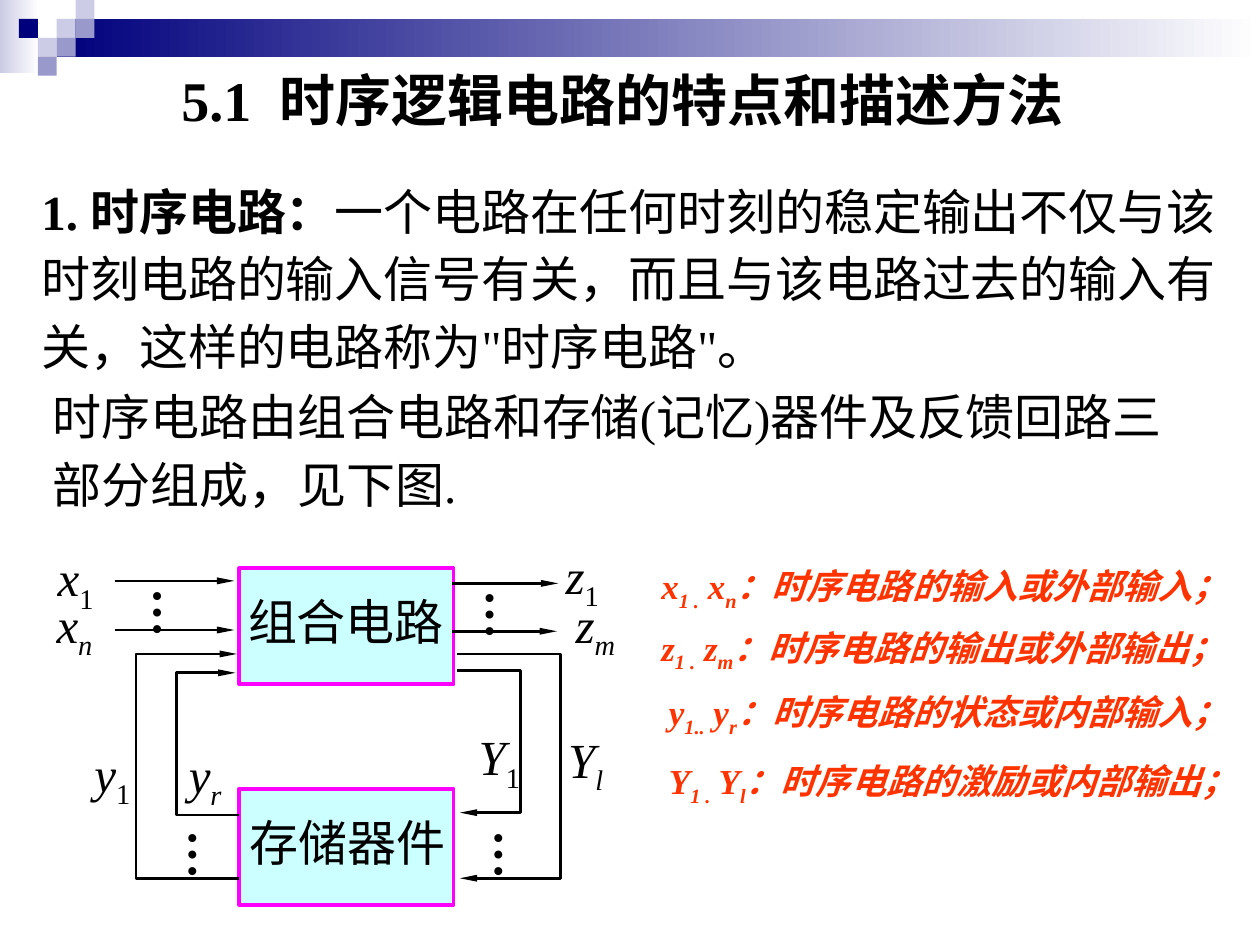
from dataclasses import dataclass

from lxml.etree import SubElement
from pptx import Presentation
from pptx.dml.color import RGBColor
from pptx.enum.shapes import MSO_CONNECTOR as Connector, MSO_SHAPE as Shape
from pptx.enum.text import MSO_AUTO_SIZE as AutoSize
from pptx.oxml.ns import qn
from pptx.util import Inches, Pt


@dataclass(frozen=True)
class Theme:
    font: str = "Times New Roman"
    title_size: int = 32
    body_size: int = 28
    legend_size: int = 20
    text: str = "000000"
    legend: str = "FF3300"
    white: str = "FFFFFF"
    navy: str = "00007D"
    violet: str = "9999CC"
    lavender: str = "CCCCE6"
    block_fill: str = "CCFFFF"
    block_line: str = "FF00FF"
    block_width: float = 2.25
    wire_width: float = 1.5


THEME = Theme()
SQUARE = 0.15
BLOCK_LEFT, BLOCK_WIDTH, BLOCK_HEIGHT = 1.9, 1.7, 0.92


def rgb(color):
    return RGBColor.from_string(color)


def add_rectangle(slide, left, top, width, height, colors, outline=None):
    """Two colors give a gradient from left to right, one gives a solid fill."""
    shape = slide.shapes.add_shape(
        Shape.RECTANGLE, Inches(left), Inches(top), Inches(width), Inches(height))
    shape.shadow.inherit = False
    if len(colors) == 2:
        shape.fill.gradient()
        shape.fill.gradient_angle = 0
        for stop, color in zip(shape.fill.gradient_stops, colors):
            stop.color.rgb = rgb(color)
    else:
        shape.fill.solid()
        shape.fill.fore_color.rgb = rgb(colors[0])
    if outline:
        shape.line.color.rgb = rgb(outline)
        shape.line.width = Pt(THEME.block_width)
    else:
        shape.line.fill.background()


def add_text(slide, left, top, width, height, runs, size=THEME.body_size,
             color=THEME.text, bold=None, italic=None, wrap=False,
             line_spacing=None, space_before=None):
    """Runs are (text, marks) pairs; marks: b bold, i italic, s subscript."""
    box = slide.shapes.add_textbox(
        Inches(left), Inches(top), Inches(width), Inches(height))
    frame = box.text_frame
    frame.word_wrap = wrap
    frame.auto_size = AutoSize.SHAPE_TO_FIT_TEXT
    if not wrap:
        frame.margin_right = 0  # room for tightly fitting single lines
    paragraph = frame.paragraphs[0]
    paragraph.line_spacing = line_spacing
    if space_before:
        paragraph.space_before = Pt(space_before)
    font = paragraph.font
    font.name, font.size = THEME.font, Pt(size)
    font.bold, font.italic = bold, italic
    font.color.rgb = rgb(color)
    for text, marks in runs:
        run = paragraph.add_run()
        run.text = text
        if "b" in marks:
            run.font.bold = True
        if "i" in marks:
            run.font.italic = True
        if "s" in marks:
            run._r.get_or_add_rPr().set("baseline", "-25000")
    return frame


def add_vertical_dots(slide, left, top):
    frame = add_text(slide, left, top, 0.66, 0.49, [("…", "")], bold=True)
    frame.margin_left = frame.margin_right = Inches(0.05)
    frame.margin_top = frame.margin_bottom = Inches(0.05)
    frame._txBody.bodyPr.set("vert", "eaVert")


def style_wire(shape):
    shape.line.color.rgb = rgb(THEME.text)
    shape.line.width = Pt(THEME.wire_width)
    SubElement(shape.line._get_or_add_ln(), qn("a:tailEnd"),
               type="triangle", w="sm", len="lg")


def add_arrow(slide, start, end, y):
    arrow = slide.shapes.add_connector(
        Connector.STRAIGHT, Inches(start), Inches(y), Inches(end), Inches(y))
    style_wire(arrow)
    SubElement(arrow._element.spPr, qn("a:effectLst"))


def add_feedback(slide, start, turn, end, start_y, end_y):
    """A wire that runs out to x = turn, along it, and back to a block."""
    builder = slide.shapes.build_freeform(Inches(start), Inches(start_y))
    corners = [(turn, start_y), (turn, end_y), (end, end_y)]
    builder.add_line_segments([(Inches(x), Inches(y)) for x, y in corners], close=False)
    wire = builder.convert_to_shape()
    wire.shadow.inherit = False
    wire.fill.background()
    style_wire(wire)


def add_decoration(slide):
    add_rectangle(slide, 0, 0, 0.31, 0.58, [THEME.lavender, THEME.white])
    add_rectangle(slide, 0.45, 0.15, 9.55, 0.3, [THEME.navy, THEME.white])
    squares = [(3, 1, THEME.lavender), (4, 0, THEME.lavender), (4, 1, THEME.violet),
               (2, 2, THEME.lavender), (1, 1, THEME.navy), (3, 2, THEME.violet),
               (2, 3, THEME.violet)]
    for column, row, color in squares:
        add_rectangle(slide, column * SQUARE, row * SQUARE, SQUARE, SQUARE, [color])


def add_body(slide):
    add_text(slide, 1.34, 0.47, 7.31, 0.64, [("5.1  时序逻辑电路的特点和描述方法", "")],
             size=THEME.title_size, bold=True)
    definition = [
        ("1. 时序电路：", "b"),
        ("一个电路在任何时刻的稳定输出不仅与该时刻电路的输入信号有关，"
         "而且与该电路过去的输入有关，这样的电路称为\"时序电路\"。", "")]
    structure = [("时序电路由组合电路和存储(记忆)器件及反馈回路三部分组成，见下图.", "")]
    for left, top, width, height, runs in [(0.23, 1.32, 9.64, 1.71, definition),
                                           (0.32, 2.95, 9.12, 1.18, structure)]:
        add_text(slide, left, top, width, height, runs, wrap=True,
                 line_spacing=1.15, space_before=17.5)


def add_diagram(slide):
    for top, label_left, label_width, label in [(4.51, 1.87, 1.79, "组合电路"),
                                                (6.26, 1.88, 1.89, "存储器件")]:
        add_rectangle(slide, BLOCK_LEFT, top, BLOCK_WIDTH, BLOCK_HEIGHT,
                      [THEME.block_fill], THEME.block_line)
        add_text(slide, label_left, top + 0.19, label_width, 0.52, [(label, "")],
                 wrap=True, line_spacing=0.9)

    for start, end, y in [(0.91, 1.86, 4.61), (0.91, 1.86, 5),
                          (3.59, 4.43, 4.63), (3.59, 4.42, 5.01)]:
        add_arrow(slide, start, end, y)
    for wire in [(1.9, 1.4, 1.87, 6.47, 5.34), (1.9, 1.08, 1.88, 6.97, 5.19),
                 (3.63, 4.13, 3.65, 5.32, 6.45), (3.63, 4.45, 3.65, 5.19, 6.97)]:
        add_feedback(slide, *wire)
    for left, top in [(1, 4.57), (3.64, 4.59), (1.28, 6.49), (3.71, 6.49)]:
        add_vertical_dots(slide, left, top)

    signals = [("x", "1", 0.36, 4.3, 0.48), ("x", "n", 0.35, 4.67, 0.48),
               ("z", "1", 4.39, 4.28, 0.46), ("z", "m", 4.47, 4.67, 0.51),
               ("y", "r", 1.4, 5.86, 0.46), ("y", "1", 0.65, 5.85, 0.48),
               ("Y", "1", 3.7, 5.72, 0.53), ("Y", "l", 4.41, 5.74, 0.48)]
    for name, index, left, top, width in signals:
        index_marks = "s" if index.isdigit() else "si"
        add_text(slide, left, top, width, 0.63, [(name, "i"), (index, index_marks)])


def add_legend(slide):
    entries = [(5.15, 4.43, 4.76, "x", "1 .", "n", "输入或外部输入"),
               (5.15, 4.92, 4.73, "z", "1 .", "m", "输出或外部输出"),
               (5.21, 5.43, 4.7, "y", "1..", "r", "状态或内部输入"),
               (5.21, 5.98, 4.78, "Y", "1 .", "l", "激励或内部输出")]
    for left, top, width, name, first, last, meaning in entries:
        runs = [(name, ""), (first, "s"), (f" {name}", ""), (last, "s"),
                (f"：时序电路的{meaning}；", "")]
        add_text(slide, left, top, width, 0.48, runs, size=THEME.legend_size,
                 color=THEME.legend, bold=True, italic=True)


def main():
    presentation = Presentation()
    presentation.slide_width = Inches(10)
    presentation.slide_height = Inches(7.5)
    slide = presentation.slides.add_slide(presentation.slide_layouts[6])
    add_decoration(slide)
    add_body(slide)
    add_diagram(slide)
    add_legend(slide)
    presentation.save("out.pptx")


if __name__ == "__main__":
    main()
